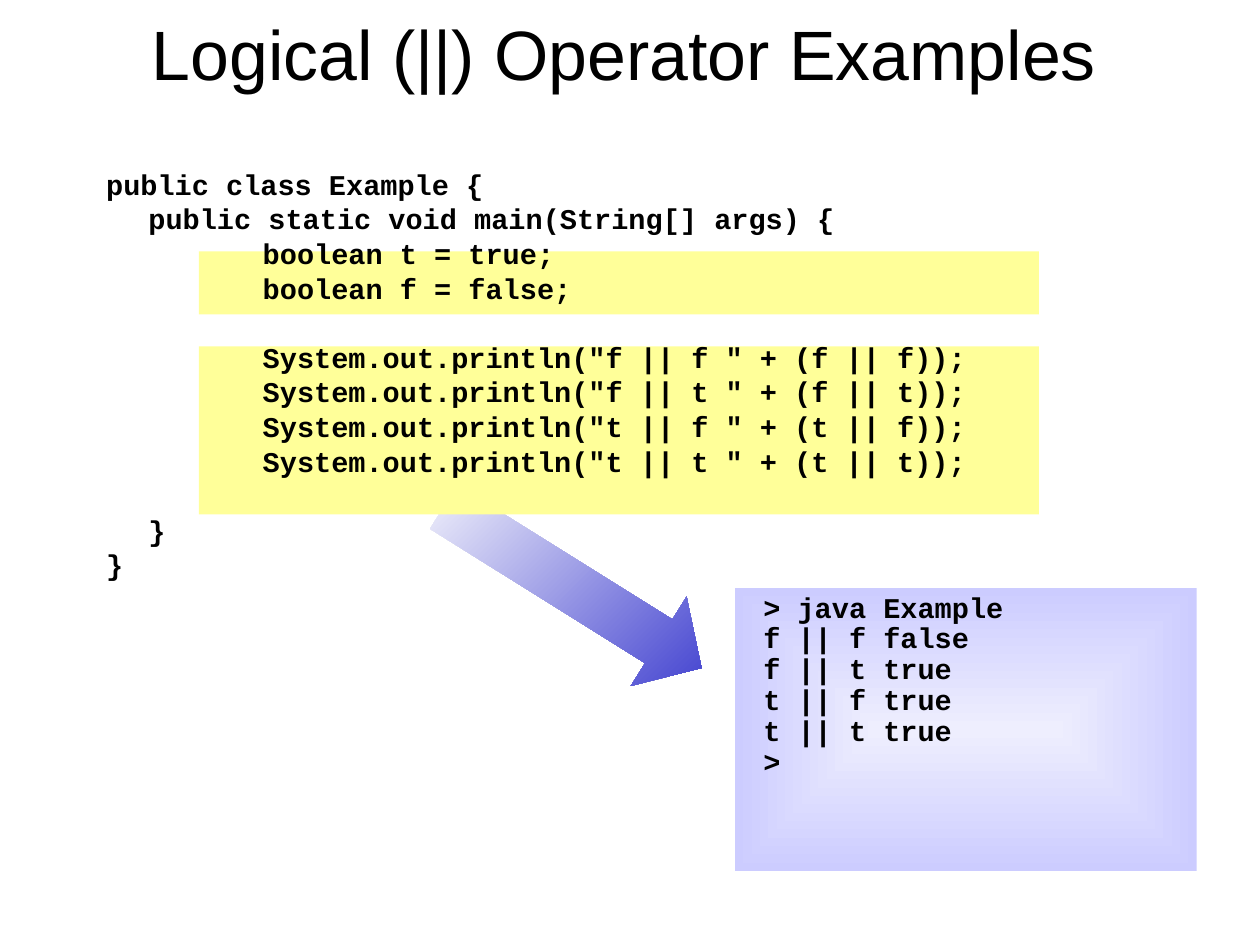
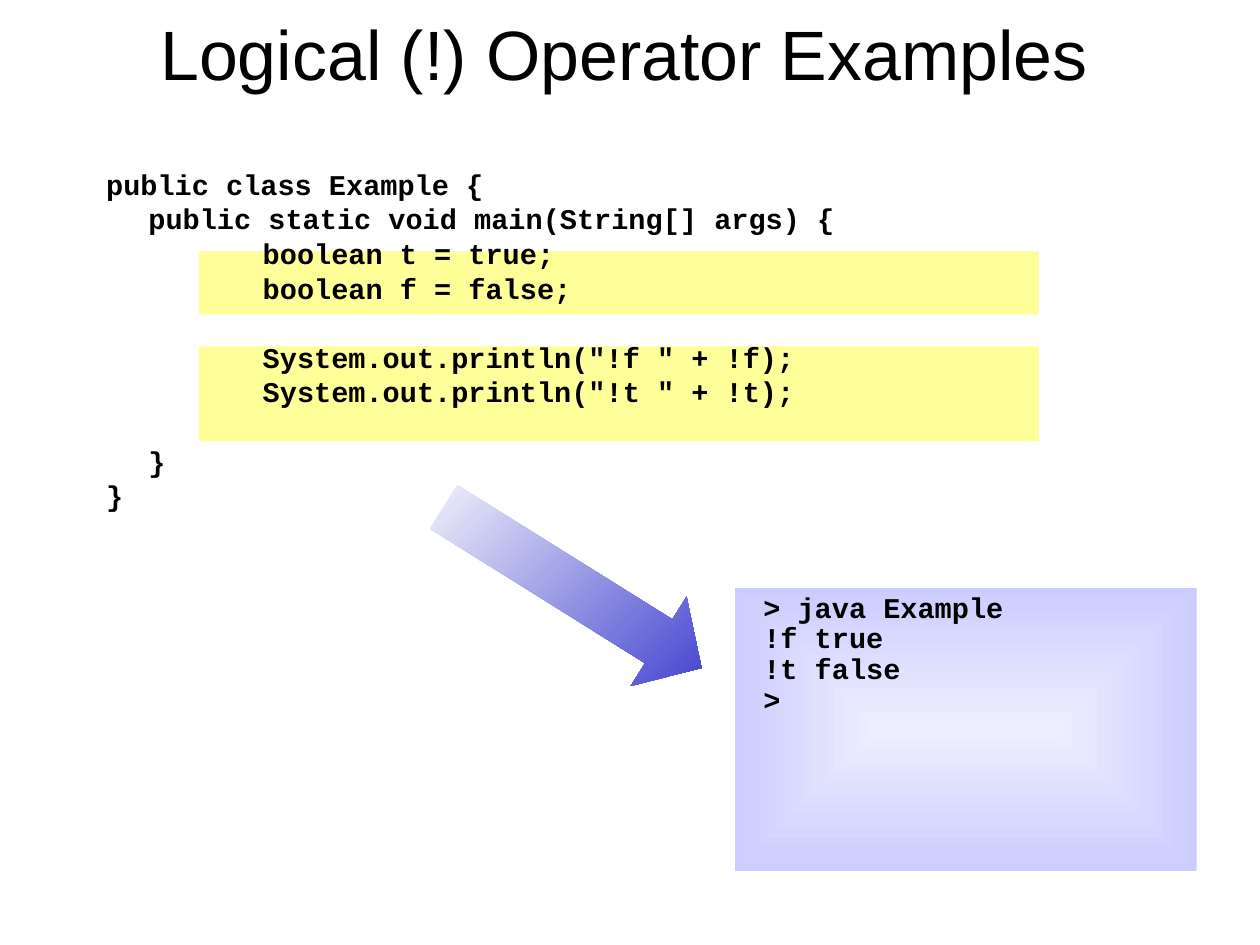
from lxml.etree import SubElement
from pptx import Presentation
from pptx.dml.color import RGBColor
from pptx.enum.shapes import MSO_SHAPE
from pptx.enum.text import MSO_ANCHOR, PP_ALIGN
from pptx.oxml.ns import qn
from pptx.util import Inches, Pt

BLACK = RGBColor(0x00, 0x00, 0x00)
YELLOW = RGBColor(0xFF, 0xFF, 0x99)
WHITE = RGBColor(0xFE, 0xFE, 0xFE)
BLUE = RGBColor(0x33, 0x33, 0xCC)
PALE = RGBColor(0xEE, 0xEE, 0xFE)
LILAC = RGBColor(0xCC, 0xCC, 0xFF)

CM = 1 / 2.54
HEAD = {"name": "Arial", "size": Pt(44), "bold": False}
MONO = {"name": "Courier New", "size": Pt(18), "bold": True}
LINE = 19.4
GAP = 2.4
STEPS = (0, 0.37, 1.37)

CODE = """public class Example {{
\tpublic static void main(String[] args) {{
\t\tboolean t = true;
\t\tboolean f = false;

{calls}

\t}}
}}"""

SLIDES = (
    {
        "title": "Logical (||) Operator Examples",
        "calls": [f'"{a} || {b} " + ({a} || {b})' for a in "ft" for b in "ft"],
        "lines": ["f || f false", "f || t true", "t || f true", "t || t true"],
        "band": 1.47,
    },
    {
        "title": "Logical (!) Operator Examples",
        "calls": [f'"!{a} " + !{a}' for a in "ft"],
        "lines": ["!f true", "!t false"],
        "band": 0.83,
    },
)


def put(item, look):
    """Set each attribute named in a dict of format values."""
    for key, value in look.items():
        setattr(item, key, value)


def write(para, text, look):
    """Write black text in one paragraph."""
    para.text = text
    put(para.font, look)
    para.font.color.rgb = BLACK


def add_text(slide, box):
    """Add an empty text box that wraps and return its frame."""
    frame = slide.shapes.add_textbox(*map(Inches, box)).text_frame
    frame.word_wrap = True
    return frame


def add_title(slide, text):
    """Add the centred slide title."""
    frame = add_text(slide, (0.46, 0.18, 10.01, 0.64))
    frame.vertical_anchor = MSO_ANCHOR.MIDDLE
    para = frame.paragraphs[0]
    write(para, text, HEAD)
    put(para, {"alignment": PP_ALIGN.CENTER, "line_spacing": 0.93})


def add_shape(slide, kind, box):
    """Add a preset shape without line or shadow."""
    shape = slide.shapes.add_shape(kind, *map(Inches, box))
    shape.shadow.inherit = False
    shape.line.fill.background()
    return shape


def blend(shape, start, end):
    """Fill a shape with a gradient of two colours and return its element."""
    shape.fill.gradient()
    for stop, tone in zip(shape.fill.gradient_stops, (start, end)):
        stop.color.rgb = tone
    return shape._element.spPr.find(qn("a:gradFill"))


def add_arrow(slide):
    """Add the slanted arrow from code to output."""
    arrow = add_shape(slide, MSO_SHAPE.RIGHT_ARROW, (3.68, 4.68, 2.66, 0.92))
    arrow.rotation = 32
    arrow.adjustments[0] = 0.49
    arrow.adjustments[1] = 0.48
    grad = blend(arrow, WHITE, BLUE)
    grad.set("rotWithShape", "0")
    arrow.fill.gradient_angle = 315


def add_band(slide, top, height):
    """Add a yellow band behind code lines."""
    band = add_shape(slide, MSO_SHAPE.RECTANGLE, (1.74, top, 7.35, height))
    band.fill.solid()
    band.fill.fore_color.rgb = YELLOW


def fill_lines(frame, text, gap):
    """Write code lines, turning tabs into indents and empty lines into space."""
    para, extra = None, 0
    for line in text.split("\n"):
        if not line:
            extra += LINE + gap
            continue
        space = gap + extra if para else 0
        para = frame.add_paragraph() if para else frame.paragraphs[0]
        code = line.lstrip("\t")
        write(para, code, MONO)
        put(para, {
            "alignment": PP_ALIGN.LEFT,
            "line_spacing": Pt(LINE),
            "space_before": Pt(space),
        })
        left = Inches(STEPS[len(line) - len(code)])
        para._p.get_or_add_pPr().set("marL", str(left))
        extra = 0


def add_code(slide, calls):
    """Add the program listing."""
    rows = "\n".join(f"\t\tSystem.out.println({call});" for call in calls)
    frame = add_text(slide, (0.83, 1.47, 8.45, 3.67))
    frame.margin_top = Inches(0.02)
    fill_lines(frame, CODE.format(calls=rows), GAP)


def add_output(slide, lines):
    """Add the console panel with a gradient from its centre."""
    panel = add_shape(slide, MSO_SHAPE.RECTANGLE, (6.43, 5.14, 4.04, 2.48))
    grad = blend(panel, PALE, LILAC)
    grad.remove(grad.find(qn("a:lin")))
    route = SubElement(grad, qn("a:path"), {"path": "rect"})
    sides = dict.fromkeys("ltrb", "50000")
    SubElement(route, qn("a:fillToRect"), sides)
    frame = panel.text_frame
    put(frame, {"word_wrap": True, "vertical_anchor": MSO_ANCHOR.TOP})
    rows = ["> java Example", *lines, ">"]
    fill_lines(frame, "\n".join(f" {row}" for row in rows), 0)


def main():
    """Build and save both slides."""
    deck = Presentation()
    deck.slide_width = Inches(28 * CM)
    deck.slide_height = Inches(21 * CM)
    for data in SLIDES:
        slide = deck.slides.add_slide(deck.slide_layouts[6])
        add_title(slide, data["title"])
        add_arrow(slide)
        add_band(slide, 2.2, 0.55)
        add_band(slide, 3.03, data["band"])
        add_code(slide, data["calls"])
        add_output(slide, data["lines"])
    deck.save("out.pptx")


if __name__ == "__main__":
    main()
